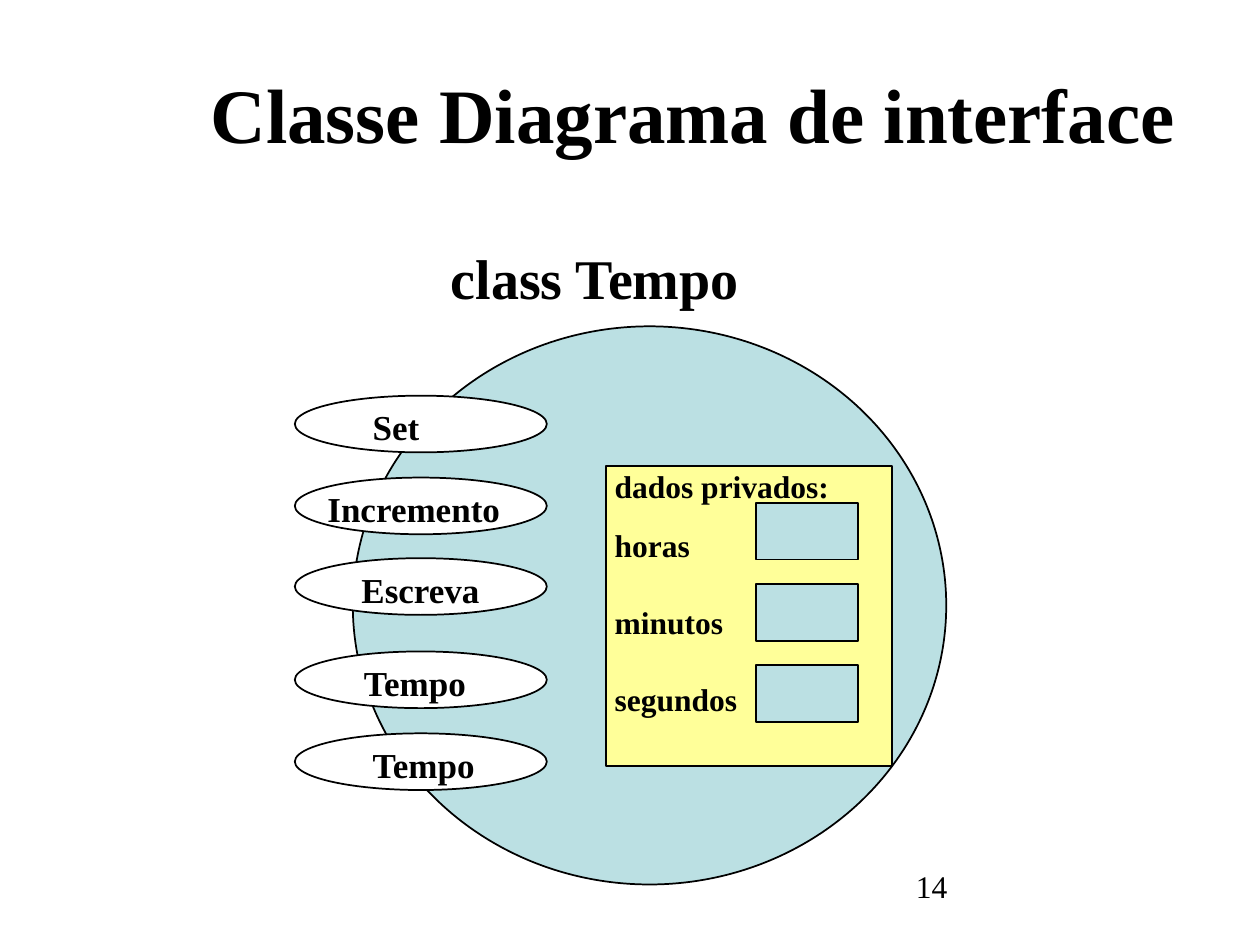
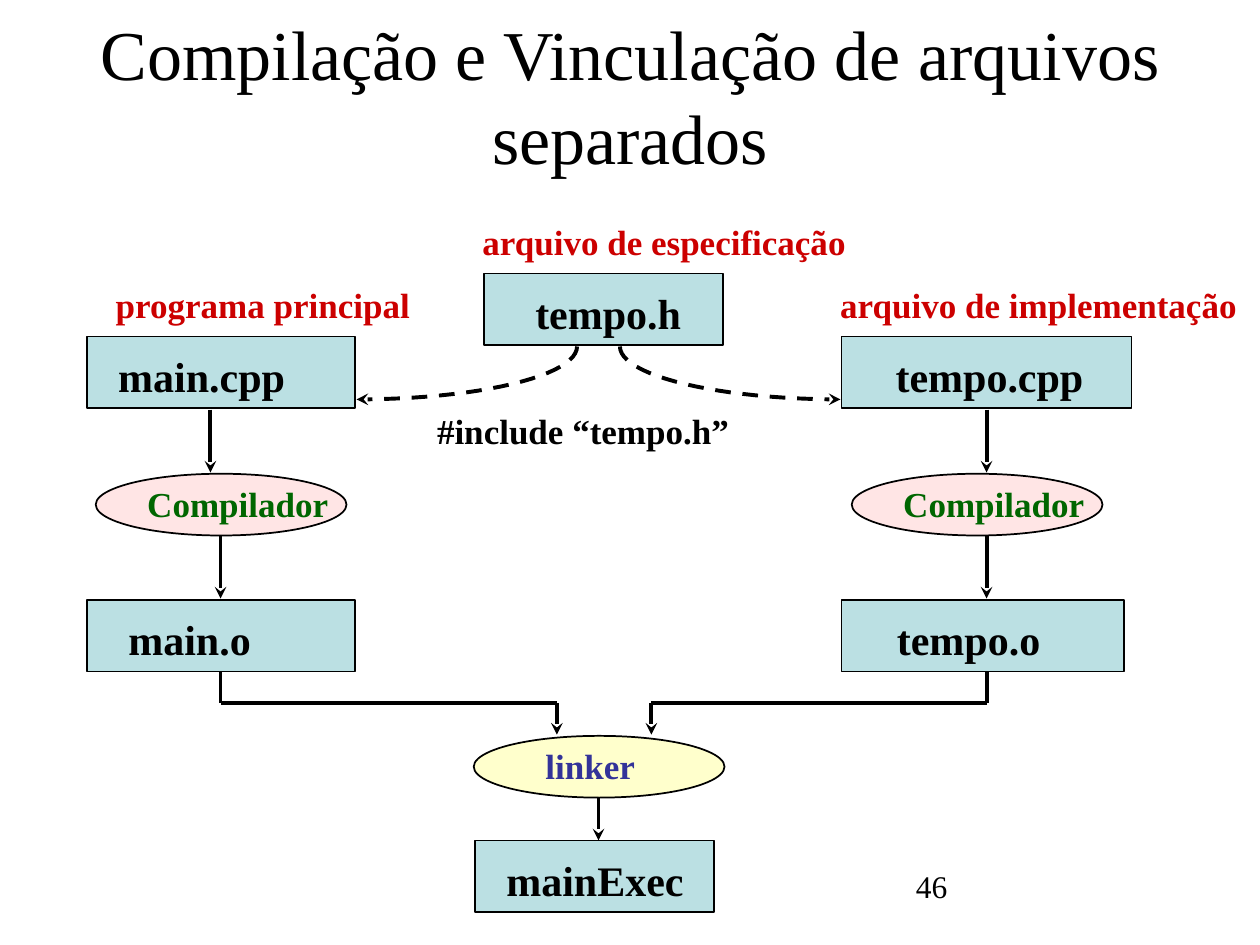
from math import cos, pi, sin

from lxml import etree
from pptx import Presentation
from pptx.dml.color import RGBColor
from pptx.enum.dml import MSO_LINE
from pptx.enum.shapes import MSO_CONNECTOR, MSO_SHAPE
from pptx.enum.text import MSO_ANCHOR, MSO_AUTO_SIZE, PP_ALIGN
from pptx.oxml.ns import qn
from pptx.util import Inches, Pt

BLACK = RGBColor(0x00, 0x00, 0x00)
WHITE = RGBColor(0xFF, 0xFF, 0xFF)
TEAL = RGBColor(0xBB, 0xE0, 0xE3)
YELLOW = RGBColor(0xFF, 0xFF, 0x99)
CREAM = RGBColor(0xFF, 0xFF, 0xCC)
PINK = RGBColor(0xFF, 0xE5, 0xE5)
RED = RGBColor(0xCC, 0x00, 0x00)
GREEN = RGBColor(0x00, 0x66, 0x00)
BLUE = RGBColor(0x33, 0x33, 0x99)

RECT, OVAL = MSO_SHAPE.RECTANGLE, MSO_SHAPE.OVAL
STRAIGHT = MSO_CONNECTOR.STRAIGHT
DASH = MSO_LINE.DASH
LEFT, CENTER = PP_ALIGN.LEFT, PP_ALIGN.CENTER
TOP, BOTTOM = MSO_ANCHOR.TOP, MSO_ANCHOR.BOTTOM
FIT, FIXED = MSO_AUTO_SIZE.SHAPE_TO_FIT_TEXT, MSO_AUTO_SIZE.NONE

FONT = "Times New Roman"
TITLE_ONLY = 5
THIN, THICK = Pt(1), Pt(2.25)


class Deck:
    """Holds the shared style and the slide being drawn."""

    def __init__(self):
        self.prs = Presentation()
        self.prs.slide_width = Inches(10)
        self.prs.slide_height = Inches(7.5)
        self.slide = None

    def start(self, number):
        layout = self.prs.slide_layouts[TITLE_ONLY]
        self.slide = self.prs.slides.add_slide(layout)
        self.text(str(number), 7.17, 6.83, 2.33, 0.52, 18,
                  bold=False, wrap=True, fit=FIXED)

    def run(self, para, text, size, color, bold):
        run = para.add_run()
        run.text = text
        font = run.font
        font.name, font.size, font.bold = FONT, Pt(size), bold
        font.color.rgb = color

    def title(self, text, x, y, w, h, size, bold, align, anchor, wrap):
        shape = self.slide.shapes.title
        shape.left, shape.top = Inches(x), Inches(y)
        shape.width, shape.height = Inches(w), Inches(h)
        frame = shape.text_frame
        frame.auto_size, frame.word_wrap = FIXED, wrap
        frame.vertical_anchor = anchor
        para = frame.paragraphs[0]
        para.alignment = align
        self.run(para, text, size, BLACK, bold)

    def text(self, text, x, y, w, h=0.44, size=20, color=BLACK,
             bold=True, wrap=False, fit=FIT):
        box = self.slide.shapes.add_textbox(
            Inches(x), Inches(y), Inches(w), Inches(h))
        frame = box.text_frame
        frame.word_wrap, frame.auto_size = wrap, fit
        self.run(frame.paragraphs[0], text, size, color, bold)
        return frame

    def row(self, frame, text, gap, size):
        """Add a paragraph that stands gap points below the last one."""
        para = frame.add_paragraph()
        para.space_before = Pt(gap)
        self.run(para, text, size, BLACK, True)

    def shape(self, kind, x, y, w, h, fill):
        shape = self.slide.shapes.add_shape(
            kind, Inches(x), Inches(y), Inches(w), Inches(h))
        shape.shadow.inherit = False
        shape.fill.solid()
        shape.fill.fore_color.rgb = fill
        self.pen(shape, THIN)

    def pen(self, shape, width, arrow=False):
        shape.line.color.rgb = BLACK
        shape.line.width = width
        if arrow:
            line = shape.element.spPr.find(qn("a:ln"))
            etree.SubElement(line, qn("a:tailEnd"), type="stealth")

    def route(self, *points):
        """Join the points with lines; the last one ends in an arrow."""
        last = len(points) - 2
        for i, (a, b) in enumerate(zip(points, points[1:])):
            line = self.slide.shapes.add_connector(
                STRAIGHT, *(Inches(v) for v in a + b))
            self.pen(line, THICK, arrow=i == last)
            etree.SubElement(line.element.spPr, qn("a:effectLst"))

    def curve(self, x, y, wide, high, steps=24):
        """Dashed quarter arc from (x, y); a negative wide bends it left."""
        turns = [pi / 2 * i / steps for i in range(steps + 1)]
        points = [(Inches(x + wide * (1 - cos(t))), Inches(y + high * sin(t)))
                  for t in turns]
        path = self.slide.shapes.build_freeform(*points[0])
        path.add_line_segments(points[1:], close=False)
        arc = path.convert_to_shape()
        arc.shadow.inherit = False
        arc.fill.background()
        arc.line.dash_style = DASH
        self.pen(arc, THICK, arrow=True)

    def file(self, name, x, y, w, text_x, text_w):
        self.shape(RECT, x, y, w, 0.57, TEAL)
        self.text(name, text_x, y + 0.06, text_w, 0.51, 24)

    def tool(self, name, x, y, fill, color, shift, text_w):
        self.shape(OVAL, x, y, 1.99, 0.49, fill)
        self.text(name, x + shift, y + 0.02, text_w, color=color)


def draw_class(deck):
    deck.start(14)
    deck.title("Classe Diagrama de interface", 1.57, 0.48, 7.94, 0.84,
               44, True, LEFT, TOP, False)
    deck.shape(OVAL, 2.8, 2.59, 4.71, 4.43, TEAL)

    methods = [("Set", 3.14, 2.86, 0.58), ("Incremento", 3.79, 2.5, 1.58),
               ("Escreva", 4.43, 2.77, 1.15), ("Tempo", 5.17, 2.79, 1.02),
               ("Tempo", 5.82, 2.86, 1.02)]
    for name, y, x, w in methods:
        deck.shape(OVAL, 2.34, y, 2, 0.45, WHITE)
        deck.text(name, x, y + 0.03, w)

    deck.shape(RECT, 4.81, 3.7, 2.27, 2.38, YELLOW)
    data = deck.text("dados privados:", 4.78, 3.66, 2.3, 2.09, 18, wrap=True)
    for name, gap in [("horas", 12), ("minutos", 22.5), ("segundos", 22.5)]:
        deck.row(data, name, gap, 18)
    for i in range(3):
        deck.shape(RECT, 6, 3.99 + 0.645 * i, 0.81, 0.45, TEAL)
    deck.text("class Tempo", 3.48, 1.88, 2.51, 0.64, 32)


def draw_build(deck):
    deck.start(46)
    deck.title("Compilação e Vinculação de arquivos separados",
               0.25, 0.66, 9.5, 0.81, 40, False, CENTER, BOTTOM, True)

    deck.file("tempo.h", 3.84, 2.17, 1.9, 4.15, 1.37)
    deck.file("main.cpp", 0.69, 2.67, 2.13, 0.84, 1.54)
    deck.file("tempo.cpp", 6.68, 2.67, 2.3, 7.01, 1.71)
    deck.file("main.o", 0.69, 4.76, 2.13, 0.92, 1.19)
    deck.file("tempo.o", 6.68, 4.76, 2.24, 7.02, 1.35)
    deck.file("mainExec", 3.77, 6.67, 1.9, 3.92, 1.62)

    for x in (0.76, 6.76):
        deck.tool("Compilador", x, 3.76, PINK, GREEN, 0.31, 1.65)
    deck.tool("linker", 3.76, 5.84, CREAM, BLUE, 0.47, 0.92)

    for top_x, x, end in [(1.67, 1.75, 4.42), (7.83, 7.83, 5.17)]:
        deck.route((top_x, 3.25), (top_x, 3.75))
        deck.route((x, 4.25), (x, 4.75))
        deck.route((x, 5.33), (x, 5.58), (end, 5.58), (end, 5.83))
    deck.route((4.75, 6.33), (4.75, 6.67))
    deck.curve(4.58, 2.75, -1.75, 0.42)
    deck.curve(4.92, 2.75, 1.75, 0.42)

    deck.text("#include “tempo.h”", 3.37, 3.2, 2.61)
    for name, x, y, w in [("arquivo de implementação", 6.57, 2.2, 3.37),
                          ("arquivo de especificação", 3.73, 1.7, 3.11),
                          ("programa principal", 0.82, 2.2, 2.56)]:
        deck.text(name, x, y, w, color=RED)


def main():
    deck = Deck()
    draw_class(deck)
    draw_build(deck)
    deck.prs.save("out.pptx")


if __name__ == "__main__":
    main()
